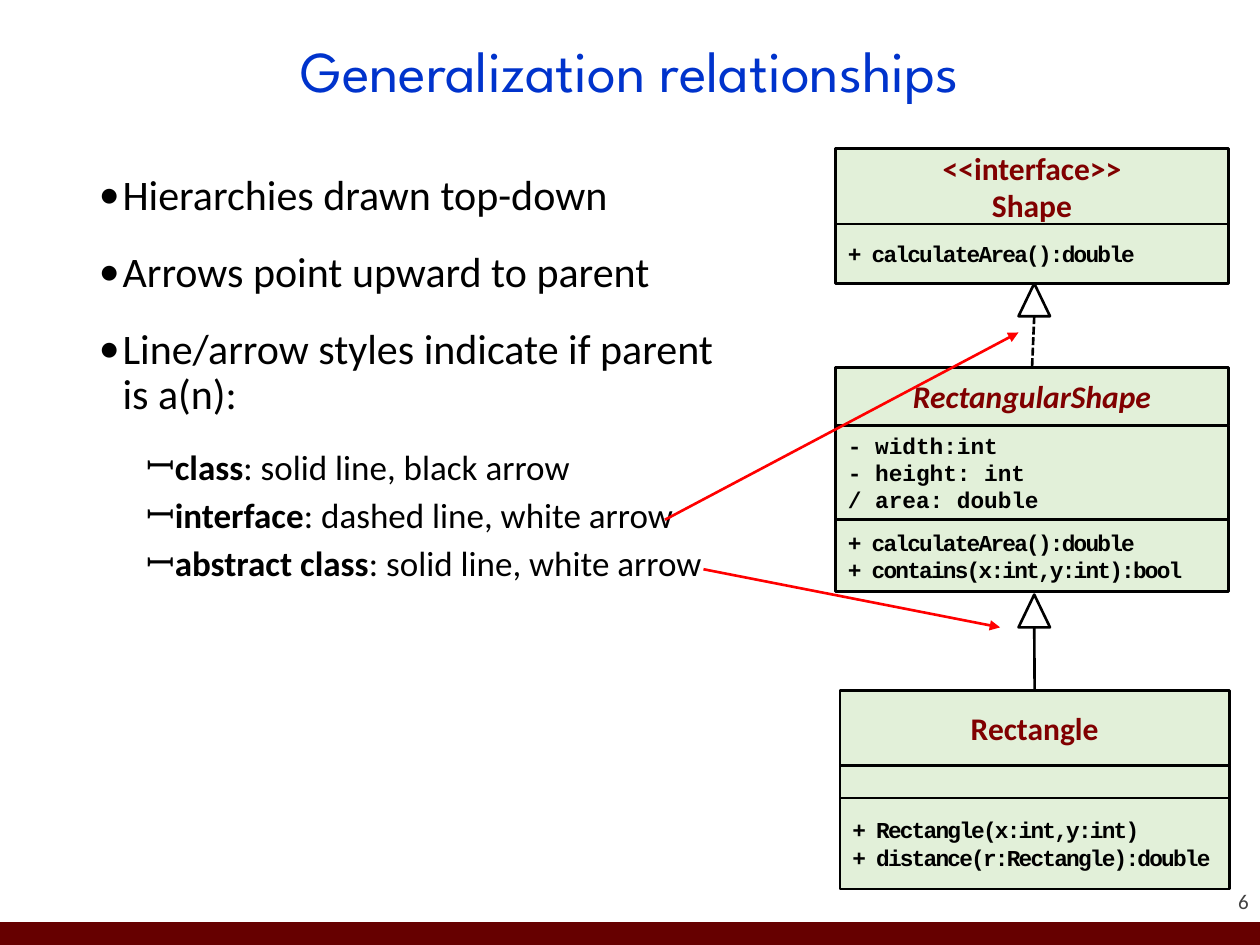
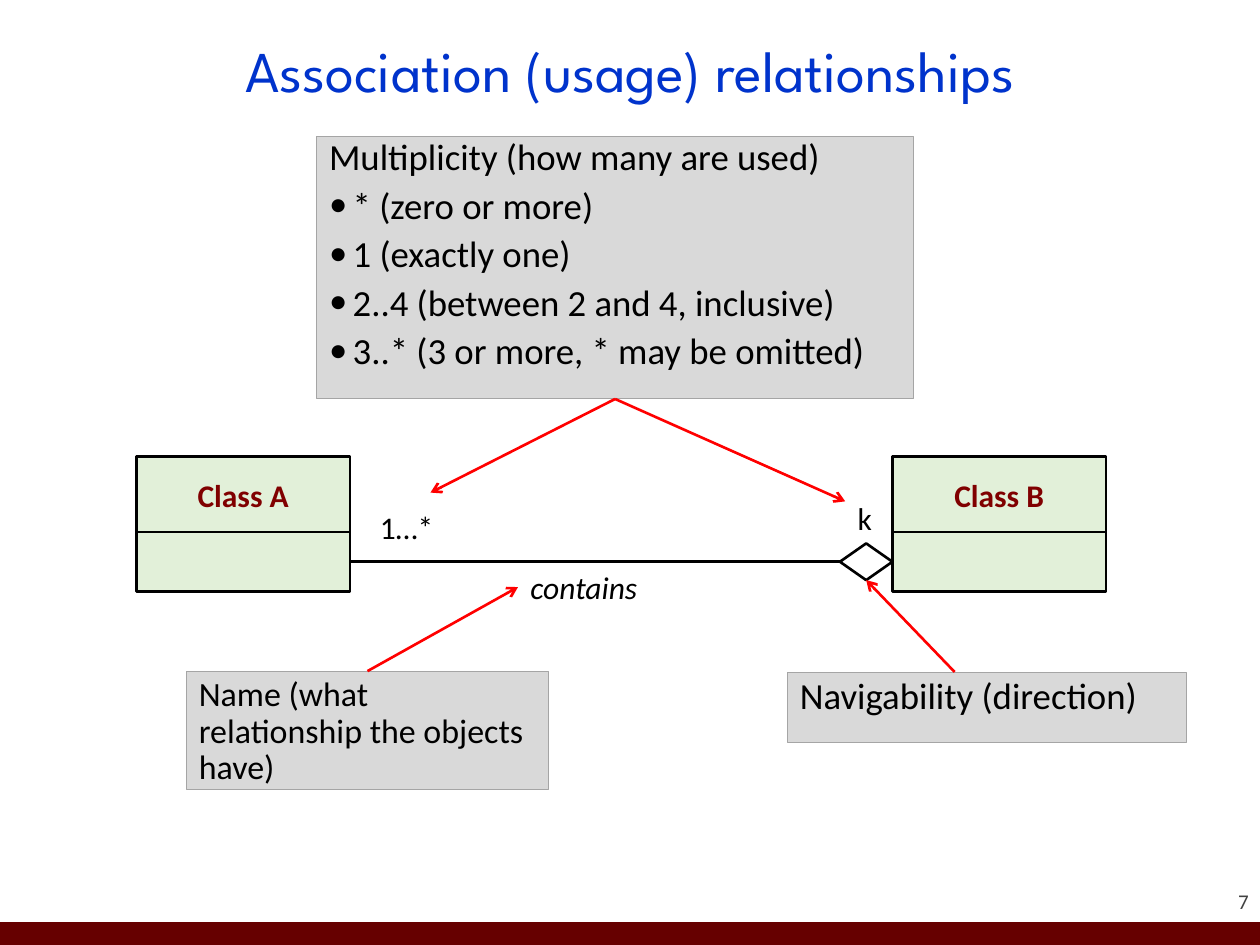
from lxml import etree
from pptx import Presentation
from pptx.dml.color import RGBColor
from pptx.enum.dml import MSO_LINE
from pptx.enum.shapes import MSO_CONNECTOR, MSO_SHAPE
from pptx.enum.text import MSO_ANCHOR, PP_ALIGN
from pptx.oxml.ns import qn
from pptx.util import Pt

RECT, PROCESS = MSO_SHAPE.RECTANGLE, MSO_SHAPE.FLOWCHART_PROCESS
TRIANGLE, DIAMOND = MSO_SHAPE.ISOSCELES_TRIANGLE, MSO_SHAPE.DIAMOND
STRAIGHT, DASH = MSO_CONNECTOR.STRAIGHT, MSO_LINE.SQUARE_DOT
TOP, MIDDLE, BOTTOM = MSO_ANCHOR.TOP, MSO_ANCHOR.MIDDLE, MSO_ANCHOR.BOTTOM
LEFT, CENTER, RIGHT = PP_ALIGN.LEFT, PP_ALIGN.CENTER, PP_ALIGN.RIGHT
SIDE_TOP, SIDE_LEFT, SIDE_BOTTOM, SIDE_RIGHT = range(4)

BLACK, RED, MAROON, BAND = "000000", "FF0000", "800000", "660000"
BLUE, GREEN, GREY, GREY_EDGE, NUMBER = "0033CC", "E2F0D9", "D9D9D9", "A5A5A5", "424242"
BODY_FACE = "Calibri"


def font(size, color=BLACK, name=BODY_FACE, **extra):
    return {"size": Pt(size), "color": color, "name": name, **extra}


TITLE_FONT = font(33, BLUE, "League Spartan")
CLASS_FONT = font(18, MAROON, bold=True)
ABSTRACT_FONT = {**CLASS_FONT, "italic": True}
FIELD_FONT = font(13, name="Courier New", bold=True)
METHOD_FONT = {**FIELD_FONT, "spacing": -1}
LABEL_FONT = font(18)
DOT = ("•", 13.5)
DASH_BULLET = ("ꟷ", 40.5)
HANGING = 13.5


def rgb(color):
    return RGBColor.from_string(color)


def add_run(p, text, style):
    r = p.add_run()
    r.text = text
    for key, value in style.items():
        if key == "color":
            r.font.color.rgb = rgb(value)
        elif key == "spacing":
            r._r.get_or_add_rPr().set("spc", str(value * 100))
        else:
            setattr(r.font, key, value)


def add_bullet(p, char, margin):
    pPr = p._p.get_or_add_pPr()
    pPr.set("marL", str(Pt(margin)))
    pPr.set("indent", str(-Pt(HANGING)))
    etree.SubElement(pPr, qn("a:buFont")).set("typeface", BODY_FACE)
    etree.SubElement(pPr, qn("a:buChar")).set("char", char)


def write(sp, texts, style, bullet=None, **layout):
    """Append paragraphs; a text is a string or a list of (string, style changes)."""
    tf = sp.text_frame
    for text in texts:
        first = not tf.paragraphs[0].runs
        p = tf.paragraphs[0] if first else tf.add_paragraph()
        if bullet:
            add_bullet(p, *bullet)
        for key, value in {"alignment": LEFT, **layout}.items():
            if not (first and key == "space_before"):
                setattr(p, key, value)
        for part, changes in [(text, {})] if isinstance(text, str) else text:
            add_run(p, part, {**style, **changes})


def text_box(slide, x, y, w, h, anchor=TOP, wrap=True):
    sp = slide.shapes.add_textbox(Pt(x), Pt(y), Pt(w), Pt(h))
    sp.text_frame.word_wrap = wrap
    sp.text_frame.vertical_anchor = anchor
    return sp


def shape(slide, kind, x, y, w, h, fill=None, line=BLACK, width=1.5, anchor=MIDDLE):
    sp = slide.shapes.add_shape(kind, Pt(x), Pt(y), Pt(w), Pt(h))
    sp.shadow.inherit = False
    if fill:
        sp.fill.solid()
        sp.fill.fore_color.rgb = rgb(fill)
    else:
        sp.fill.background()
    if line:
        sp.line.color.rgb = rgb(line)
        sp.line.width = Pt(width)
    else:
        sp.line.fill.background()
    sp.text_frame.vertical_anchor = anchor
    return sp


def connect(slide, start, end, color=BLACK, head=None, dash=None):
    """Draw a line between ends that are (x, y) points or (shape, side) joints."""
    joined = [not isinstance(e[0], (int, float)) for e in (start, end)]
    points = [(0, 0) if j else e for j, e in zip(joined, (start, end))]
    cx = slide.shapes.add_connector(STRAIGHT, *(Pt(v) for point in points for v in point))
    if joined[0]:
        cx.begin_connect(*start)
    if joined[1]:
        cx.end_connect(*end)
    cx.line.color.rgb = rgb(color)
    cx.line.width = Pt(1.5)
    if dash:
        cx.line.dash_style = dash
    if head:
        etree.SubElement(cx.line._get_or_add_ln(), qn("a:tailEnd")).set("type", head)
    etree.SubElement(cx._element.spPr, qn("a:effectLst"))


def class_box(slide, x, y, w, name, name_height, *compartments, name_font=CLASS_FONT):
    """Stack the name over (height, lines, style) compartments; return the shapes."""
    parts = []
    for i, (h, lines, style) in enumerate([(name_height, name, name_font), *compartments]):
        sp = shape(slide, PROCESS, x, y, w, h, GREEN)
        write(sp, lines, style, alignment=LEFT if i else CENTER)
        parts.append(sp)
        y += h
    return parts


def note(slide, x, y, w, h):
    return shape(slide, RECT, x, y, w, h, GREY, GREY_EDGE, 0.5, TOP)


def label(slide, x, y, w, text, **changes):
    write(text_box(slide, x, y, w, 29, wrap=False), [text], {**LABEL_FONT, **changes})


def new_slide(prs, title, number):
    slide = prs.slides.add_slide(prs.slide_layouts[6])
    shape(slide, RECT, 0, 527, 720, 13, BAND, None)
    sp = text_box(slide, 654, 493, 59.5, 29, BOTTOM)
    for side in ("left", "right", "top", "bottom"):
        setattr(sp.text_frame, f"margin_{side}", 0)
    write(sp, [str(number)], font(12, NUMBER), alignment=RIGHT)
    sp = text_box(slide, 49.5, 8.5, 621, 67.5, MIDDLE)
    write(sp, [title], TITLE_FONT, alignment=CENTER, line_spacing=0.9)
    return slide


def generalization_slide(prs):
    slide = new_slide(prs, "Generalization relationships", 6)
    body = text_box(slide, 49.5, 96, 382.5, 390)
    spacing = {"line_spacing": 0.9, "space_before": Pt(6)}
    write(body, ["Hierarchies drawn top-down", "Arrows point upward to parent",
                 "Line/arrow styles indicate if parent is a(n):"],
          font(24), DOT, space_after=Pt(12), **spacing)
    styles = [("class", ": solid line, black arrow"),
              ("interface", ": dashed line, white arrow"),
              ("abstract class", ": solid line, white arrow")]
    write(body, [[(kind, {"bold": True}), (look, {})] for kind, look in styles],
          font(20), DASH_BULLET, **spacing)

    class_box(slide, 477.5, 85, 224.5, ["<<interface>>", "Shape"], 43,
              (34, ["+ calculateArea():double"], METHOD_FONT))
    rectangular = class_box(
        slide, 477.5, 210, 224.5, ["RectangularShape"], 33,
        (54, ["- width:int", "- height: int", "/ area: double"], FIELD_FONT),
        (41, ["+ calculateArea():double", "+ contains(x:int,y:int):bool"], METHOD_FONT),
        name_font=ABSTRACT_FONT)
    rectangle = class_box(
        slide, 480, 394.5, 222.5, ["Rectangle"], 43, (18.5, [], FIELD_FONT),
        (52, ["+ Rectangle(x:int,y:int)", "+ distance(r:Rectangle):double"], METHOD_FONT))

    for y, child, dash in ((162, rectangular, DASH), (339.8, rectangle, None)):
        shape(slide, TRIANGLE, 582, y, 18, 18.7)
        connect(slide, (591, y + 18.7), (child[0], SIDE_TOP), dash=dash)
    connect(slide, (402, 325.3), (571.5, 358.5), RED, "triangle")
    connect(slide, (380, 297), (582, 190), RED, "triangle")


def association_slide(prs):
    slide = new_slide(prs, "Association (usage) relationships", 7)
    multiplicity = note(slide, 181, 78, 341, 150)
    spacing = {"line_spacing": 0.8, "space_before": Pt(7.5)}
    write(multiplicity, ["Multiplicity (how many are used)"], font(21), **spacing)
    write(multiplicity, ["* (zero or more)", "1 (exactly one)",
                         "2..4 (between 2 and 4, inclusive)",
                         "3..* (3 or more, * may be omitted)"], font(21), DOT, **spacing)

    class_a, _ = [class_box(slide, x, 261, 122, [name], 43, (34, [], FIELD_FONT))
                  for x, name in ((78, "Class A"), (510, "Class B"))]
    diamond = shape(slide, DIAMOND, 480, 310.5, 30, 21)
    connect(slide, (class_a[1], SIDE_RIGHT), (diamond, SIDE_LEFT))
    label(slide, 210, 286.5, 45, "1…*")
    label(slide, 483, 281.5, 23, "k")
    label(slide, 296, 321, 76, "contains", italic=True)

    name = note(slide, 106.5, 383.5, 207, 67.5)
    write(name, ["Name (what relationship the objects have)"], font(19.4), line_spacing=0.9)
    navigability = note(slide, 450, 384, 228, 40)
    write(navigability, ["Navigability (direction)"], font(21), line_spacing=0.9)
    for start, end in (((multiplicity, SIDE_BOTTOM), (246, 281.5)),
                       ((multiplicity, SIDE_BOTTOM), (483, 286.5)),
                       ((name, SIDE_TOP), (296, 335.5)),
                       ((545.5, 384), (diamond, SIDE_BOTTOM))):
        connect(slide, start, end, RED, "arrow")


def main():
    prs = Presentation()
    prs.slide_width, prs.slide_height = Pt(720), Pt(540)
    generalization_slide(prs)
    association_slide(prs)
    prs.save("out.pptx")


if __name__ == "__main__":
    main()
